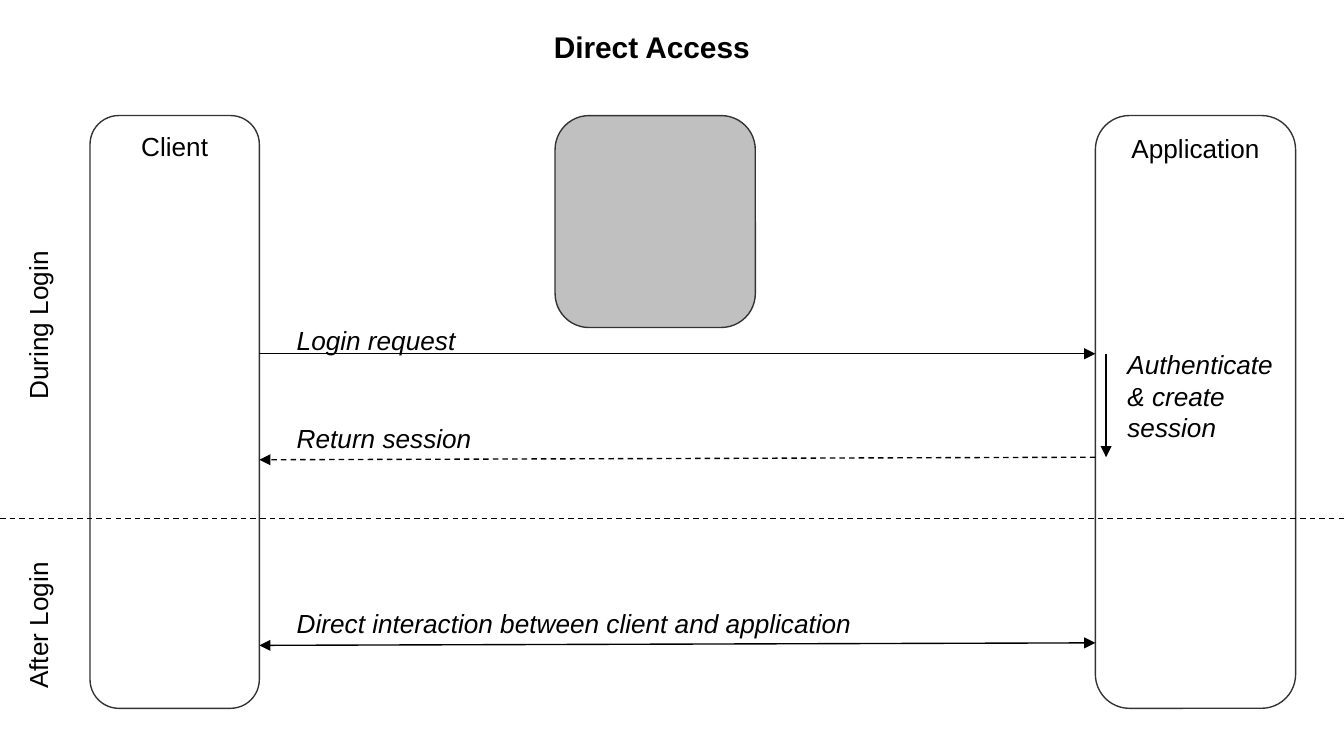
import pptx
import pptx.util
from pptx.dml.color import RGBColor
from pptx.enum.dml import MSO_LINE
from pptx.enum.shapes import MSO_CONNECTOR, MSO_SHAPE
from pptx.enum.text import MSO_ANCHOR, PP_ALIGN
from pptx.oxml.ns import qn
from lxml import etree

BLACK = RGBColor(0x00, 0x00, 0x00)
WHITE = RGBColor(0xFF, 0xFF, 0xFF)
GREY = RGBColor(0xC0, 0xC0, 0xC0)
OUTLINE = RGBColor(0x33, 0x33, 0x33)
FONT = "Arial"
WIDTH, HEIGHT = pptx.util.Inches(10), pptx.util.Inches(5.51)
COL, ROW = WIDTH / 100, HEIGHT / 100  # a grid of 100 columns and 100 rows
LABEL_ROWS = 6.2
LANE_TOP, LANE_ROWS = 15.6, 80


def x(cols):
    return round(cols * COL)


def y(rows):
    return round(rows * ROW)


def grid(box):
    left, top, width, height = box
    return x(left), y(top), x(width), y(height)


def write(shape, lines, size=14, bold=False, italic=False,
          align=PP_ALIGN.LEFT, anchor=MSO_ANCHOR.TOP):
    tf = shape.text_frame
    tf.word_wrap = True
    tf.vertical_anchor = anchor
    for i, line in enumerate(lines):
        p = tf.add_paragraph() if i else tf.paragraphs[0]
        p.alignment = align
        r = p.add_run()
        r.text = line
        r.font.name = FONT
        r.font.size = pptx.util.Pt(size)
        r.font.bold, r.font.italic = bold, italic
        r.font.color.rgb = BLACK


def add_label(s, box, *lines, **style):
    tb = s.shapes.add_textbox(*grid(box))
    write(tb, lines, **style)
    return tb


def add_line(s, start, end, dashed=False, head=False, tail=False):
    """Draw a thin line; head and tail are arrowheads at start and end."""
    c = s.shapes.add_connector(MSO_CONNECTOR.STRAIGHT, x(start[0]), y(start[1]),
                               x(end[0]), y(end[1]))
    c.line.color.rgb = BLACK
    c.line.width = pptx.util.Pt(0.75)
    if dashed:
        c.line.dash_style = MSO_LINE.DASH
    ln = c.line._get_or_add_ln()
    for wanted, tag in ((head, "a:headEnd"), (tail, "a:tailEnd")):
        if wanted:
            etree.SubElement(ln, qn(tag), type="triangle")
    etree.SubElement(c._element.spPr, qn("a:effectLst"))


def add_title(s, box, text):
    title = s.shapes.title
    title.left, title.top, title.width, title.height = grid(box)
    write(title, [text], size=16, bold=True, align=PP_ALIGN.CENTER,
          anchor=MSO_ANCHOR.MIDDLE)


def add_participant(s, box, name=None, fill=WHITE):
    sp = s.shapes.add_shape(MSO_SHAPE.ROUNDED_RECTANGLE, *grid(box))
    sp.adjustments[0] = 0.17
    sp.shadow.inherit = False
    sp.fill.solid()
    sp.fill.fore_color.rgb = fill
    sp.line.color.rgb = OUTLINE
    sp.line.width = pptx.util.Pt(0.75)
    if name:
        write(sp, [name], align=PP_ALIGN.CENTER)


def add_message(s, track, text, client_row, app_row, lift, **arrow):
    """Put a message between two lanes, its label lifted above the line."""
    left, right = track
    ends = [(left, client_row), (right, app_row)]
    if arrow.pop("reply", False):
        ends.reverse()
    add_line(s, *ends, tail=True, **arrow)
    add_label(s, (left + 1.8, client_row - lift, 46, LABEL_ROWS), text, italic=True)


def add_login_step(s, lane_left, top, bottom):
    add_line(s, (lane_left + 0.8, top), (lane_left + 0.8, bottom), tail=True)
    add_label(s, (lane_left + 1.4, top - 1.6, 14.4, 14.5),
              "Authenticate & create", "session", italic=True)


def add_phase(s, middle_row, text):
    """Write a phase name upwards along the left edge, around a middle row."""
    length = 15
    tb = add_label(s, (2.85 - length / 2, middle_row - LABEL_ROWS / 2, length, LABEL_ROWS),
                   text, align=PP_ALIGN.CENTER)
    tb.rotation = 270


def main():
    prs = pptx.Presentation()
    prs.slide_width, prs.slide_height = WIDTH, HEIGHT
    s = prs.slides.add_slide(prs.slide_layouts[5])

    add_title(s, (38.5, 2.9, 20, 6.7), "Direct Access")

    client_left, client_cols, app_left, app_cols = 6.7, 12.6, 81.5, 14.9
    add_participant(s, (41.3, LANE_TOP, app_cols, 28.6), fill=GREY)
    add_participant(s, (app_left, LANE_TOP, app_cols, LANE_ROWS), "Application")
    add_participant(s, (client_left, LANE_TOP, client_cols, LANE_ROWS), "Client")

    track = client_left + client_cols, app_left
    request_row, reply_row = 47.75, 61.7
    add_message(s, track, "Login request", request_row, request_row, 4.9)
    add_login_step(s, app_left, request_row, reply_row)
    add_message(s, track, "Return session", reply_row + 0.35, reply_row, 6,
                dashed=True, reply=True)
    add_message(s, track, "Direct interaction between client and application",
                87.1, 86.75, 6, head=True)

    add_line(s, (0, 70), (100, 70), dashed=True)
    add_phase(s, 43.9, "During Login")
    add_phase(s, 84.4, "After Login")

    prs.save("out.pptx")


if __name__ == "__main__":
    main()
